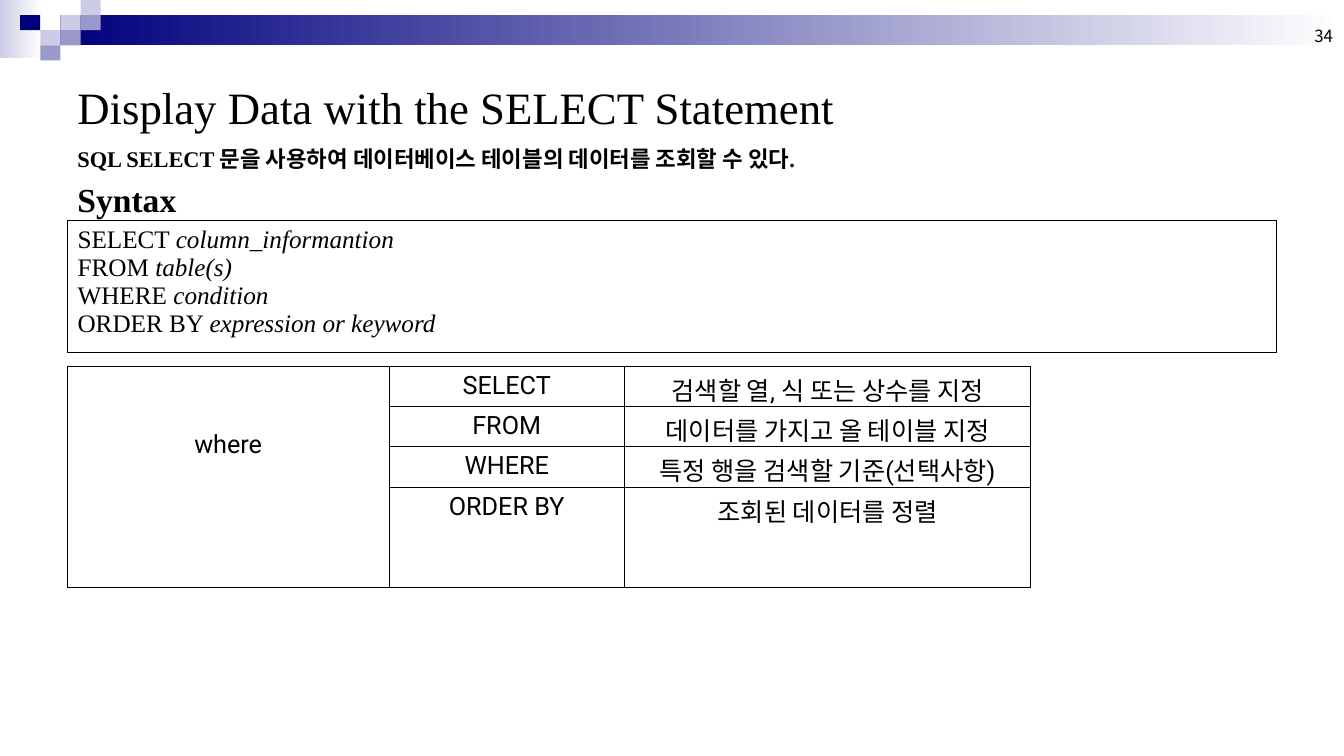
from dataclasses import dataclass
from typing import NamedTuple

from lxml.etree import SubElement
from pptx import Presentation
from pptx.dml.color import RGBColor
from pptx.enum.shapes import MSO_SHAPE as Preset
from pptx.enum.text import MSO_ANCHOR as Anchor, PP_ALIGN as Align
from pptx.oxml import parse_xml
from pptx.oxml.ns import nsdecls, qn
from pptx.slide import Slide
from pptx.table import Table, _Cell as Cell
from pptx.text.text import TextFrame, _Run as Run
from pptx.util import Inches, Pt


@dataclass(frozen=True)
class Theme:
    ink: str = "000000"
    navy: str = "00007D"
    mid: str = "9999CC"
    light: str = "CCCCE6"
    paper: str = "FFFFFF"
    serif: str = "Times New Roman"
    sans: str = "Roboto"
    korean: str = "Noto Sans CJK KR"
    title_size: int = 32
    heading_size: int = 24
    body_size: int = 18
    lead_size: int = 16
    number_size: int = 12
    border_width: float = 0.45
    rule_width: float = 1.47


class Box(NamedTuple):
    left: float
    top: float
    width: float
    height: float


class Block(NamedTuple):
    box: Box
    color: str
    fade_to: str = ""


class Caption(NamedTuple):
    text: str
    box: Box
    size: int
    font: str
    bold: bool = False
    anchor: Anchor = Anchor.TOP
    align: Align = Align.LEFT


class Clause(NamedTuple):
    keyword: str
    argument: str
    meaning: str


THEME = Theme()
TILE_WIDTH, TILE_HEIGHT = 0.2, 0.15
TILES = [
    (3, 1, THEME.light),
    (4, 0, THEME.light),
    (4, 1, THEME.mid),
    (2, 2, THEME.light),
    (1, 1, THEME.navy),
    (3, 2, THEME.mid),
    (2, 3, THEME.mid),
]
BANNER = [
    Block(Box(0, 0, 0.42, 0.58), THEME.light, THEME.paper),
    Block(Box(0.6, 0.15, 12.73, 0.3), THEME.navy, THEME.paper),
] + [
    Block(Box(col * TILE_WIDTH, row * TILE_HEIGHT, TILE_WIDTH, TILE_HEIGHT), color)
    for col, row, color in TILES
]
CAPTIONS = [
    Caption("34", Box(10.22, 0, 3.11, 0.5), THEME.number_size, THEME.korean,
            anchor=Anchor.BOTTOM, align=Align.RIGHT),
    Caption("Display Data with the SELECT Statement", Box(0.67, 0.5, 12, 1.12),
            THEME.title_size, THEME.serif, anchor=Anchor.MIDDLE),
    Caption("SQL SELECT 문을 사용하여 데이터베이스 테이블의 데이터를 조회할 수 있다.",
            Box(0.67, 1.39, 10.25, 0.4), THEME.lead_size, THEME.serif, bold=True),
    Caption("Syntax", Box(0.67, 1.73, 8.92, 0.5), THEME.heading_size, THEME.serif, bold=True),
]
CLAUSES = [
    Clause("SELECT", "column_informantion", "검색할 열, 식 또는 상수를 지정"),
    Clause("FROM", "table(s)", "데이터를 가지고 올 테이블 지정"),
    Clause("WHERE", "condition", "특정 행을 검색할 기준(선택사항)"),
    Clause("ORDER BY", "expression or keyword", "조회된 데이터를 정렬"),
]
RULE_BOX = Box(2.23, 2.41, 8.92, 0.4)
SYNTAX_BOX = Box(0.67, 2.19, 12, 1.3)
MEANING_BOX = Box(0.67, 3.63, 9.56, 2.2)
MEANING_COLUMNS = [3.19, 2.34, 4.03]
MEANING_ROWS = [0.4, 0.4, 0.4, 1]
WHERE_OFFSET = 0.64


def lengths(box: Box) -> list[Inches]:
    return [Inches(length) for length in box]


def style_run(run: Run, size: int, font: str, bold: bool = False, italic: bool = False) -> None:
    run.font.size = Pt(size)
    run.font.bold = bold
    run.font.italic = italic
    run.font.color.rgb = RGBColor.from_string(THEME.ink)
    run.font.name = font
    properties = run._r.get_or_add_rPr()
    properties.set("kern", "0")
    SubElement(properties, qn("a:ea"), typeface=THEME.korean)


def set_text(frame: TextFrame, text: str, size: int, font: str,
             align: Align, bold: bool = False) -> None:
    frame.text = text
    paragraph = frame.paragraphs[0]
    paragraph.alignment = align
    style_run(paragraph.runs[0], size, font, bold)


def draw_block(slide: Slide, block: Block) -> None:
    shape = slide.shapes.add_shape(Preset.RECTANGLE, *lengths(block.box))
    shape.shadow.inherit = False
    shape.line.fill.background()
    if block.fade_to:
        shape.fill.gradient()
        shape.fill.gradient_angle = 0
        for stop, color in zip(shape.fill.gradient_stops, (block.color, block.fade_to)):
            stop.color.rgb = RGBColor.from_string(color)
    else:
        shape.fill.solid()
        shape.fill.fore_color.rgb = RGBColor.from_string(block.color)


def draw_caption(slide: Slide, caption: Caption) -> None:
    frame = slide.shapes.add_textbox(*lengths(caption.box)).text_frame
    frame.word_wrap = True
    frame.vertical_anchor = caption.anchor
    set_text(frame, caption.text, caption.size, caption.font, caption.align, caption.bold)


def outline_cell(cell: Cell, color: str, bottom_width: float) -> None:
    cell.fill.background()
    properties = cell._tc.get_or_add_tcPr()
    for index, side in enumerate("LRTB"):
        width = bottom_width if side == "B" else THEME.border_width
        properties.insert(index, parse_xml(
            f'<a:ln{side} {nsdecls("a")} w="{Pt(width)}"><a:solidFill>'
            f'<a:srgbClr val="{color}"/></a:solidFill></a:ln{side}>'))


def add_grid(slide: Slide, box: Box, columns: list[float], rows: list[float],
             color: str = THEME.ink, bottom_width: float = THEME.border_width) -> Table:
    grid = slide.shapes.add_table(len(rows), len(columns), *lengths(box)).table
    grid.first_row = False
    grid.horz_banding = False
    for column, width in zip(grid.columns, columns):
        column.width = Inches(width)
    for row, height in zip(grid.rows, rows):
        row.height = Inches(height)
    for cell in grid.iter_cells():
        outline_cell(cell, color, bottom_width)
    return grid


def draw_syntax(slide: Slide) -> None:
    grid = add_grid(slide, SYNTAX_BOX, [SYNTAX_BOX.width], [SYNTAX_BOX.height])
    frame = grid.cell(0, 0).text_frame
    frame.text = "\n".join(f"{clause.keyword} " for clause in CLAUSES)
    for paragraph, clause in zip(frame.paragraphs, CLAUSES):
        style_run(paragraph.runs[0], THEME.body_size, THEME.serif)
        argument = paragraph.add_run()
        argument.text = clause.argument
        style_run(argument, THEME.body_size, THEME.serif, italic=True)


def draw_meanings(slide: Slide) -> None:
    grid = add_grid(slide, MEANING_BOX, MEANING_COLUMNS, MEANING_ROWS)
    where = grid.cell(0, 0)
    where.merge(grid.cell(len(CLAUSES) - 1, 0))
    where.margin_top = Inches(WHERE_OFFSET)
    set_text(where.text_frame, "where", THEME.body_size, THEME.sans, Align.CENTER)
    for row, clause in enumerate(CLAUSES):
        for column, text in enumerate((clause.keyword, clause.meaning), start=1):
            set_text(grid.cell(row, column).text_frame, text,
                     THEME.body_size, THEME.sans, Align.CENTER)


def main() -> None:
    deck = Presentation()
    deck.slide_width, deck.slide_height = Inches(13.34), Inches(7.5)
    slide = deck.slides.add_slide(deck.slide_layouts[6])
    for block in BANNER:
        draw_block(slide, block)
    add_grid(slide, RULE_BOX, [RULE_BOX.width], [RULE_BOX.height], THEME.paper, THEME.rule_width)
    for caption in CAPTIONS:
        draw_caption(slide, caption)
    draw_syntax(slide)
    draw_meanings(slide)
    deck.save("out.pptx")


if __name__ == "__main__":
    main()
